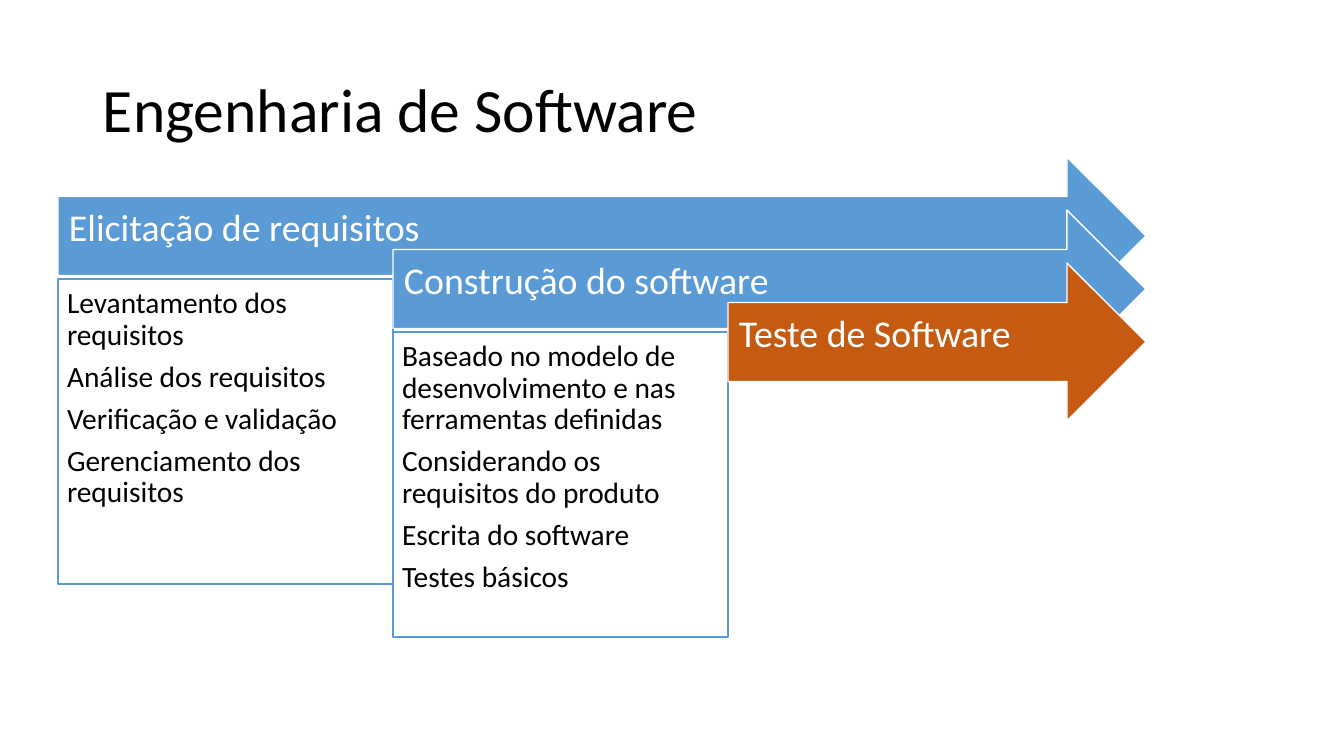
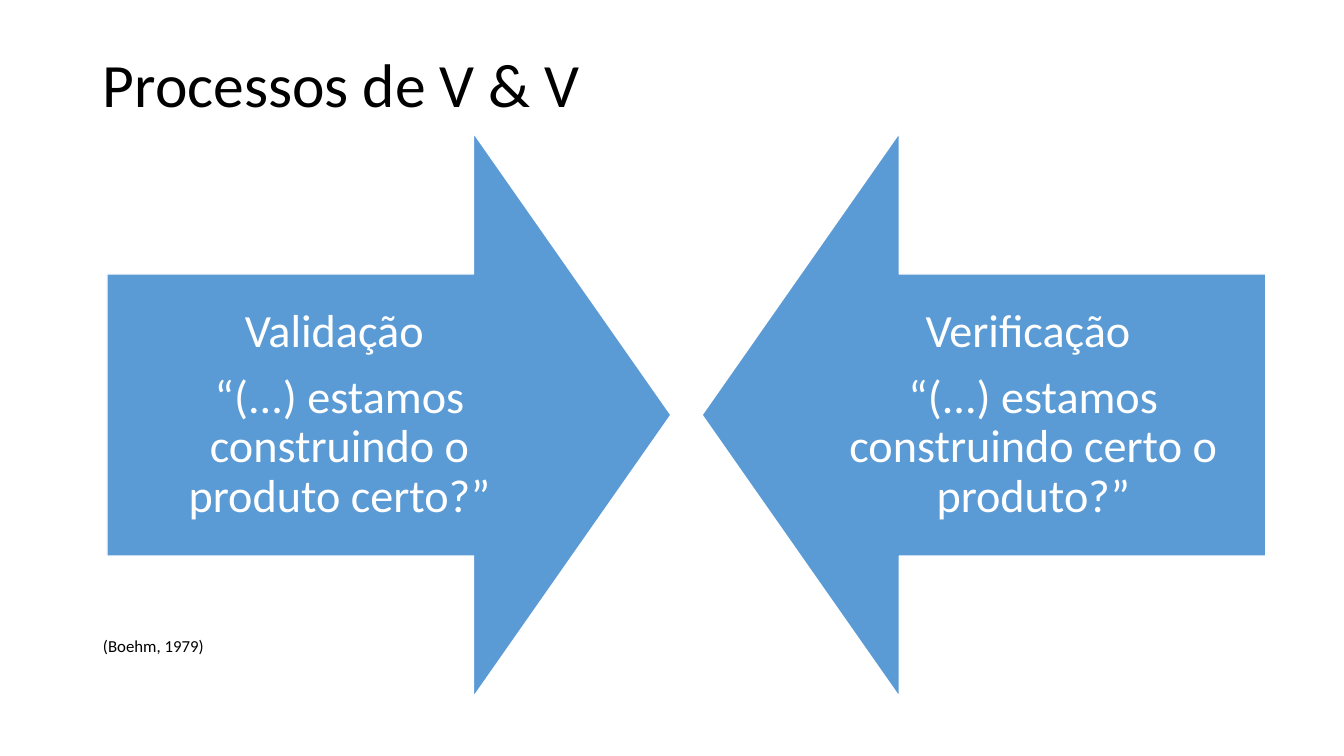
from pptx import Presentation
from pptx.dml.color import RGBColor
from pptx.enum.shapes import MSO_SHAPE
from pptx.enum.text import MSO_ANCHOR, PP_ALIGN
from pptx.util import Emu, Pt

PIXELS_PER_INCH = 100.8
FONT = "Calibri"
BLACK, WHITE, BLUE, ORANGE = "000000", "FFFFFF", "5B9BD5", "C55A11"


def px(length):
    return Emu(round(length * 914400 / PIXELS_PER_INCH))


def color(hex_text):
    return RGBColor.from_string(hex_text)


def write(shape, lines, size, ink=BLACK, align=PP_ALIGN.LEFT,
          anchor=MSO_ANCHOR.MIDDLE, insets=(10, 5, 10, 5), gap=0):
    """Fill a shape with paragraphs; gap is a share of the text size."""
    frame = shape.text_frame
    frame.word_wrap = True
    frame.vertical_anchor = anchor
    (frame.margin_left, frame.margin_top,
     frame.margin_right, frame.margin_bottom) = map(px, insets)
    for index, line in enumerate(lines):
        para = frame.add_paragraph() if index else frame.paragraphs[0]
        para.alignment = align
        para.line_spacing = 0.9
        para.space_after = Pt(size * gap)
        span = para.add_run()
        span.text = line
        span.font.name = FONT
        span.font.size = Pt(size)
        span.font.color.rgb = color(ink)


def add_text(page, box, lines, size, **style):
    write(page.shapes.add_textbox(*map(px, box)), lines, size, **style)


def add_block(page, kind, box, fill, line, adjustments=()):
    shape = page.shapes.add_shape(kind, *map(px, box))
    shape.shadow.inherit = False
    shape.fill.solid()
    shape.fill.fore_color.rgb = color(fill)
    shape.line.color.rgb = color(line)
    shape.line.width = Pt(1)
    for index, value in enumerate(adjustments):
        shape.adjustments[index] = value
    return shape


def add_page(deck, title, title_height):
    page = deck.slides.add_slide(deck.slide_layouts[6])
    add_text(page, (93, 40, 1159, title_height), [title], 44)
    return page


def add_stage(page, box, name, fill, tasks):
    """An arrow across the box, with its task panel below."""
    left, top, width, height = box
    arrow = add_block(page, MSO_SHAPE.RIGHT_ARROW, box, fill, WHITE, (0.5, 0.5))
    write(arrow, [name], 27, ink=WHITE, insets=(11, 11, 28, 25), gap=0.35)
    if tasks:
        panel = add_block(page, MSO_SHAPE.RECTANGLE,
                          (left, top + 122, STAGE_STEP, 305), WHITE, BLUE)
        write(panel, tasks, 21, anchor=MSO_ANCHOR.TOP,
              insets=(9, 9, 9, 9), gap=0.35)


def add_stages(page, box, stages):
    """Arrows that start further right and lower but end at one edge."""
    left, top, width, height = box
    for index, stage in enumerate(stages):
        shift = index * STAGE_STEP
        add_stage(page, (left + shift, top + index * 53, width - shift, height),
                  *stage)


def add_question(page, box, kind, lines):
    arrow = add_block(page, kind, box, BLUE, WHITE, (0.5, 0.35))
    write(arrow, lines, 33, ink=WHITE, align=PP_ALIGN.CENTER,
          insets=(26, 26, 26, 26), gap=0.35)


STAGE_STEP = 335
STAGES = [
    ("Elicitação de requisitos", BLUE,
     ["Levantamento dos requisitos", "Análise dos requisitos",
      "Verificação e validação", "Gerenciamento dos requisitos"]),
    ("Construção do software", BLUE,
     ["Baseado no modelo de desenvolvimento e nas ferramentas definidas",
      "Considerando os requisitos do produto",
      "Escrita do software", "Testes básicos"]),
    ("Teste de Software", ORANGE, []),
]
QUESTIONS = [
    (107, MSO_SHAPE.RIGHT_ARROW,
     ["Validação ", "“(...) estamos construindo o produto certo?”"]),
    (702, MSO_SHAPE.LEFT_ARROW,
     ["Verificação ", "“(...) estamos construindo certo o produto?”"]),
]

deck = Presentation()
deck.slide_width, deck.slide_height = px(1344), px(756)

# Stages of software engineering
stages_page = add_page(deck, "Engenharia de Software", 146)
add_stages(stages_page, (58, 157, 1088, 158), STAGES)

# Two facing questions and their source
questions_page = add_page(deck, "Processos de V & V", 95)
add_text(questions_page, (93, 629, 1159, 36), ["(Boehm, 1979)"], 12)
for left, kind, lines in QUESTIONS:
    add_question(questions_page, (left, 133, 564, 564), kind, lines)

deck.save("out.pptx")
